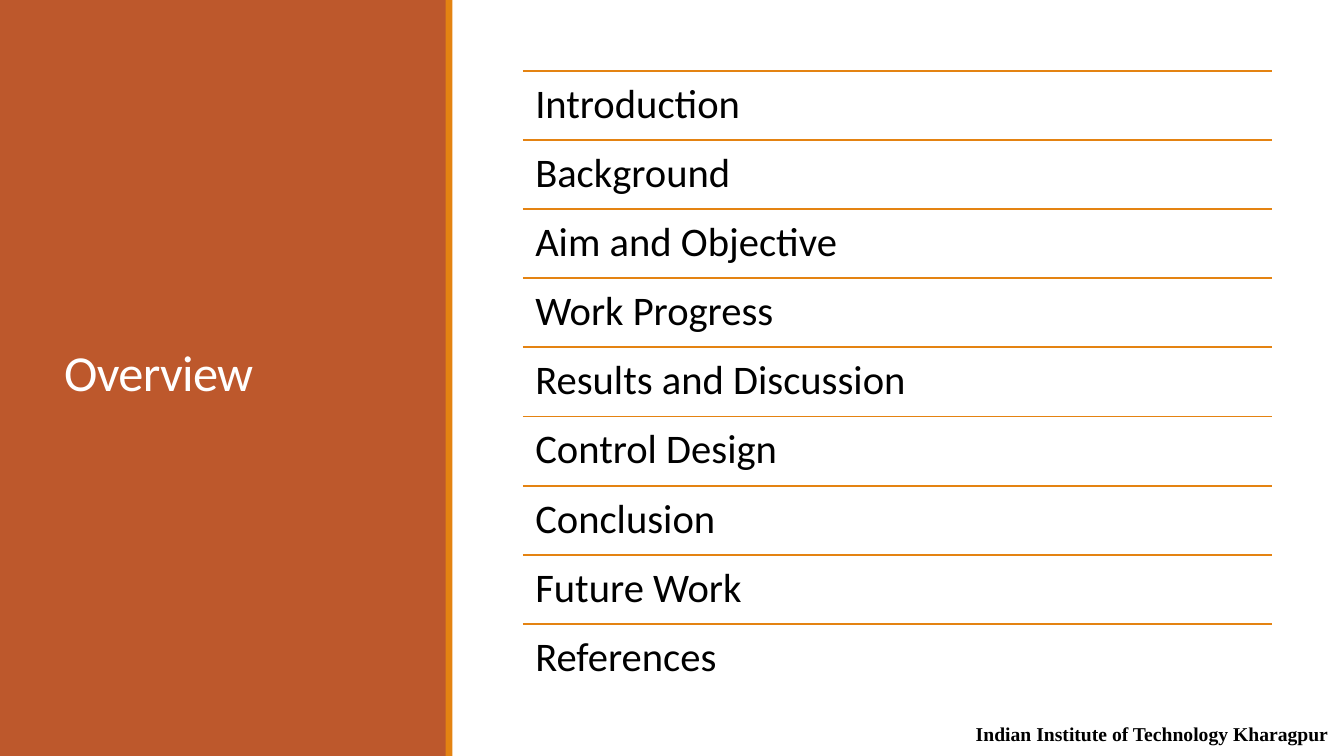
from lxml import etree
from pptx import Presentation
from pptx.dml.color import RGBColor
from pptx.enum.shapes import MSO_CONNECTOR, MSO_SHAPE
from pptx.enum.text import MSO_ANCHOR as Anchor, PP_ALIGN as Align
from pptx.oxml.ns import qn
from pptx.util import Cm, Pt

# Content
TITLE = "Overview"
TOPICS = [
    "Introduction",
    "Background",
    "Aim and Objective",
    "Work Progress",
    "Results and Discussion",
    "Control Design",
    "Conclusion",
    "Future Work",
    "References",
]
INSTITUTE = "Indian Institute of Technology Kharagpur"

# Colours
RUST = RGBColor(0xBD, 0x58, 0x2C)
ORANGE = RGBColor(0xE4, 0x83, 0x12)
WHITE = RGBColor(0xFF, 0xFF, 0xFF)
BLACK = RGBColor(0, 0, 0)

# Layout, in centimetres
SLIDE_WIDTH, SLIDE_HEIGHT = 33.87, 19.05
PANEL_WIDTH = 11.25
STRIPE_LEFT, STRIPE_WIDTH = 11.23, 0.17
LIST_LEFT, LIST_TOP, LIST_WIDTH, LIST_HEIGHT = 13.18, 1.78, 18.87, 15.69
ROW_HEIGHT = LIST_HEIGHT / len(TOPICS)


def add_band(slide, left, width, color):
    shape = slide.shapes.add_shape(
        MSO_SHAPE.RECTANGLE, Cm(left), 0, Cm(width), Cm(SLIDE_HEIGHT))
    shape.shadow.inherit = False
    shape.fill.solid()
    shape.fill.fore_color.rgb = color
    shape.line.fill.background()


def add_text(slide, text, left, top, width, height, *, size, color=BLACK,
             font="Calibri", bold=False, align=Align.LEFT, anchor=Anchor.TOP,
             line_spacing=0.9, tracking=None, inset=None):
    frame = slide.shapes.add_textbox(
        Cm(left), Cm(top), Cm(width), Cm(height)).text_frame
    frame.word_wrap = True
    frame.vertical_anchor = anchor
    if inset is not None:
        frame.margin_left = frame.margin_right = Cm(inset)
        frame.margin_top = frame.margin_bottom = Cm(inset)
    paragraph = frame.paragraphs[0]
    paragraph.alignment = align
    paragraph.line_spacing = line_spacing
    run = paragraph.add_run()
    run.text = text
    run.font.name = font
    run.font.size = Pt(size)
    run.font.bold = bold
    run.font.color.rgb = color
    if tracking is not None:
        run.font._element.set("spc", str(round(tracking * 100)))


def add_rule(slide, left, top, width):
    rule = slide.shapes.add_connector(
        MSO_CONNECTOR.STRAIGHT, Cm(left), Cm(top), Cm(left + width), Cm(top))
    rule.line.color.rgb = ORANGE
    rule.line.width = Pt(1.25)
    etree.SubElement(rule._element.spPr, qn("a:effectLst"))


def main():
    presentation = Presentation()
    presentation.slide_width = Cm(SLIDE_WIDTH)
    presentation.slide_height = Cm(SLIDE_HEIGHT)
    slide = presentation.slides.add_slide(presentation.slide_layouts[6])

    # Side panel with title
    add_band(slide, 0, PANEL_WIDTH, RUST)
    add_text(slide, TITLE, 1.37, 1.45, 8.56, 16.03, size=36, color=WHITE,
             anchor=Anchor.MIDDLE, line_spacing=0.85, tracking=-0.5)
    add_band(slide, STRIPE_LEFT, STRIPE_WIDTH, ORANGE)

    # Institute name
    add_text(slide, INSTITUTE, 24.21, 18.14, 9.65, 0.91, size=14, bold=True,
             font="Times New Roman", align=Align.CENTER)

    # Topics, each under its own rule
    for index, topic in enumerate(TOPICS):
        top = LIST_TOP + index * ROW_HEIGHT
        add_rule(slide, LIST_LEFT, top, LIST_WIDTH)
        add_text(slide, topic, LIST_LEFT, top, LIST_WIDTH, ROW_HEIGHT,
                 size=29, inset=0.31)

    presentation.save("out.pptx")


if __name__ == "__main__":
    main()
